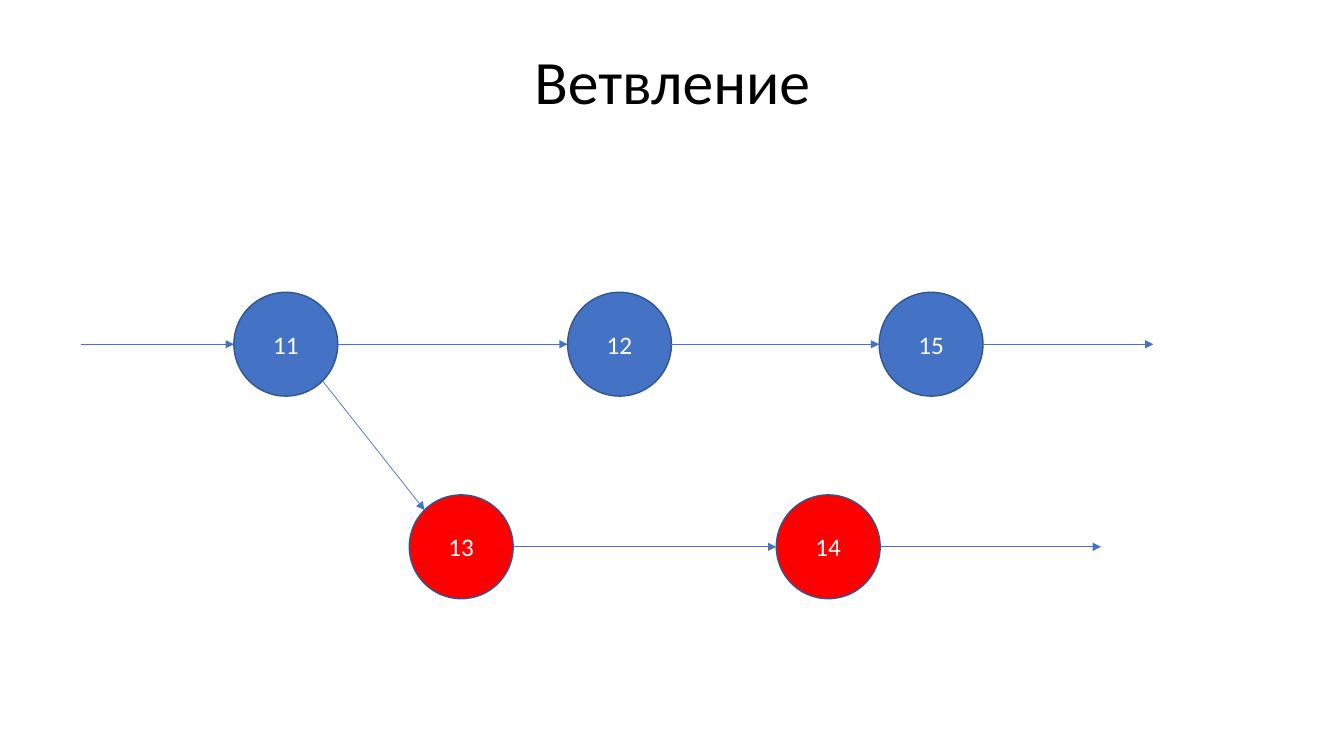
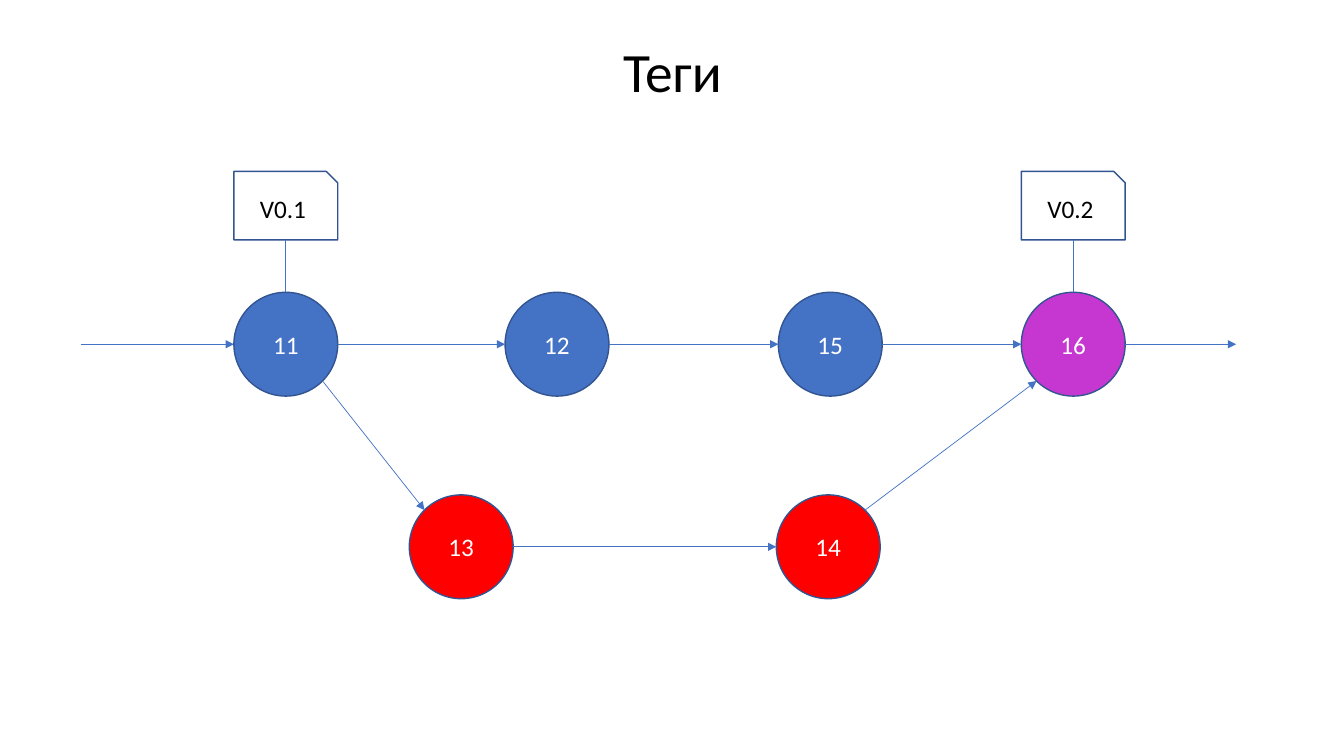
import math
from dataclasses import dataclass

import pptx
import pptx.dml.color
import pptx.enum.shapes
import pptx.enum.text
import pptx.oxml
import pptx.oxml.ns
import pptx.shapes.autoshape
import pptx.slide
import pptx.text.text
import pptx.util
from pptx.util import Inches

COLORS = {
    "main": "4472C4",
    "branch": "FF0000",
    "merge": "C637D1",
    "outline": "325491",
    "light": "FFFFFF",
    "dark": "000000",
}
FONT = "Calibri"
DIAMETER = 1.03
MAIN_TOP, BRANCH_TOP = 2.9, 4.91
TAG_TOP, TAG_HEIGHT = 1.7, 0.68
ENTRY_LEFT = 0.8

Point = tuple[float, float]


@dataclass(frozen=True)
class Commit:
    label: str
    left: float
    top: float = MAIN_TOP
    color: str = "main"
    tag: str = ""

    def rim(self, degrees: float) -> Point:
        """Point on the circle, clockwise from its right edge."""
        angle, radius = math.radians(degrees), DIAMETER / 2
        return (self.left + radius + radius * math.cos(angle),
                self.top + radius + radius * math.sin(angle))


@dataclass(frozen=True)
class History:
    title: str
    title_size: float
    title_height: float
    commits: list[Commit]
    links: list[tuple[str, str]]
    exits: dict[str, float]


FIRST = {"label": "11", "left": 2.32}
BRANCH = [
    Commit("13", 4.06, BRANCH_TOP, "branch"),
    Commit("14", 7.7, BRANCH_TOP, "branch"),
]
SHARED_LINKS = [("11", "12"), ("12", "15"), ("11", "13"), ("13", "14")]

HISTORIES = [
    History(
        "Ветвление", 44, 0.87,
        [Commit(**FIRST), Commit("12", 5.63), Commit("15", 8.72), *BRANCH],
        SHARED_LINKS,
        {"15": 11.44, "14": 10.92},
    ),
    History(
        "Теги", 39.6, 0.68,
        [Commit(**FIRST, tag="V0.1"), Commit("12", 5.01), Commit("15", 7.72),
         *BRANCH, Commit("16", 10.13, color="merge", tag="V0.2")],
        [*SHARED_LINKS, ("15", "16"), ("14", "16")],
        {"16": 12.26},
    ),
]


def rgb(name: str) -> pptx.dml.color.RGBColor:
    return pptx.dml.color.RGBColor.from_string(COLORS[name])


def write(frame: pptx.text.text.TextFrame, text: str, size: float,
          color: str) -> pptx.text.text._Paragraph:
    """Put one centred line into a text frame."""
    frame.word_wrap = True
    frame.vertical_anchor = pptx.enum.text.MSO_ANCHOR.MIDDLE
    para = frame.paragraphs[0]
    para.text = text
    para.alignment = pptx.enum.text.PP_ALIGN.CENTER
    para.font.name = FONT
    para.font.size = pptx.util.Pt(size)
    para.font.color.rgb = rgb(color)
    return para


def add_title(page: pptx.slide.Slide, history: History) -> None:
    box = page.shapes.add_textbox(Inches(0.92), Inches(0.4), Inches(11.5),
                                  Inches(history.title_height))
    para = write(box.text_frame, history.title, history.title_size, "dark")
    para.line_spacing = 0.9


def add_outlined(page: pptx.slide.Slide, kind: pptx.enum.shapes.MSO_SHAPE,
                 left: float, top: float,
                 height: float) -> pptx.shapes.autoshape.Shape:
    shape = page.shapes.add_shape(kind, Inches(left), Inches(top),
                                  Inches(DIAMETER), Inches(height))
    shape.shadow.inherit = False
    shape.line.color.rgb = rgb("outline")
    shape.line.width = pptx.util.Pt(1)
    return shape


def add_line(page: pptx.slide.Slide, start: Point, end: Point,
             arrow: bool = True) -> None:
    line = page.shapes.add_connector(
        pptx.enum.shapes.MSO_CONNECTOR.STRAIGHT,
        *(Inches(value) for value in (*start, *end)))
    line.line.color.rgb = rgb("main")
    line.line.width = pptx.util.Pt(0.5)
    properties = line._element.spPr
    if arrow:
        head = pptx.oxml.parse_xml(
            f'<a:tailEnd {pptx.oxml.ns.nsdecls("a")} type="triangle"/>')
        properties.find(pptx.oxml.ns.qn("a:ln")).append(head)
    properties.append(pptx.oxml.parse_xml(
        f'<a:effectLst {pptx.oxml.ns.nsdecls("a")}/>'))


def add_commit(page: pptx.slide.Slide, commit: Commit) -> None:
    circle = add_outlined(page, pptx.enum.shapes.MSO_SHAPE.OVAL,
                          commit.left, commit.top, DIAMETER)
    circle.fill.solid()
    circle.fill.fore_color.rgb = rgb(commit.color)
    write(circle.text_frame, commit.label, 18, "light")


def add_tag(page: pptx.slide.Slide, commit: Commit) -> None:
    card = add_outlined(page, pptx.enum.shapes.MSO_SHAPE.SNIP_1_RECTANGLE,
                        commit.left, TAG_TOP, TAG_HEIGHT)
    card.fill.background()
    write(card.text_frame, commit.tag, 18, "dark")
    top = commit.rim(-90)
    add_line(page, (top[0], TAG_TOP + TAG_HEIGHT), top, arrow=False)


def add_link(page: pptx.slide.Slide, source: Commit, target: Commit) -> None:
    """Join two commits: level within a row, from the diagonals between rows."""
    slope = 45 * ((target.top > source.top) - (target.top < source.top))
    add_line(page, source.rim(slope), target.rim(180 + slope))


def add_history(page: pptx.slide.Slide, history: History) -> None:
    add_title(page, history)
    commits = {commit.label: commit for commit in history.commits}
    for commit in history.commits:
        add_commit(page, commit)
        if commit.tag:
            add_tag(page, commit)
    entry = history.commits[0].rim(180)
    add_line(page, (ENTRY_LEFT, entry[1]), entry)
    for source, target in history.links:
        add_link(page, commits[source], commits[target])
    for label, right in history.exits.items():
        start = commits[label].rim(0)
        add_line(page, start, (right, start[1]))


def main() -> None:
    deck = pptx.Presentation()
    deck.slide_width, deck.slide_height = Inches(13.33), Inches(7.5)
    for history in HISTORIES:
        add_history(deck.slides.add_slide(deck.slide_layouts[6]), history)
    deck.save("out.pptx")


if __name__ == "__main__":
    main()
